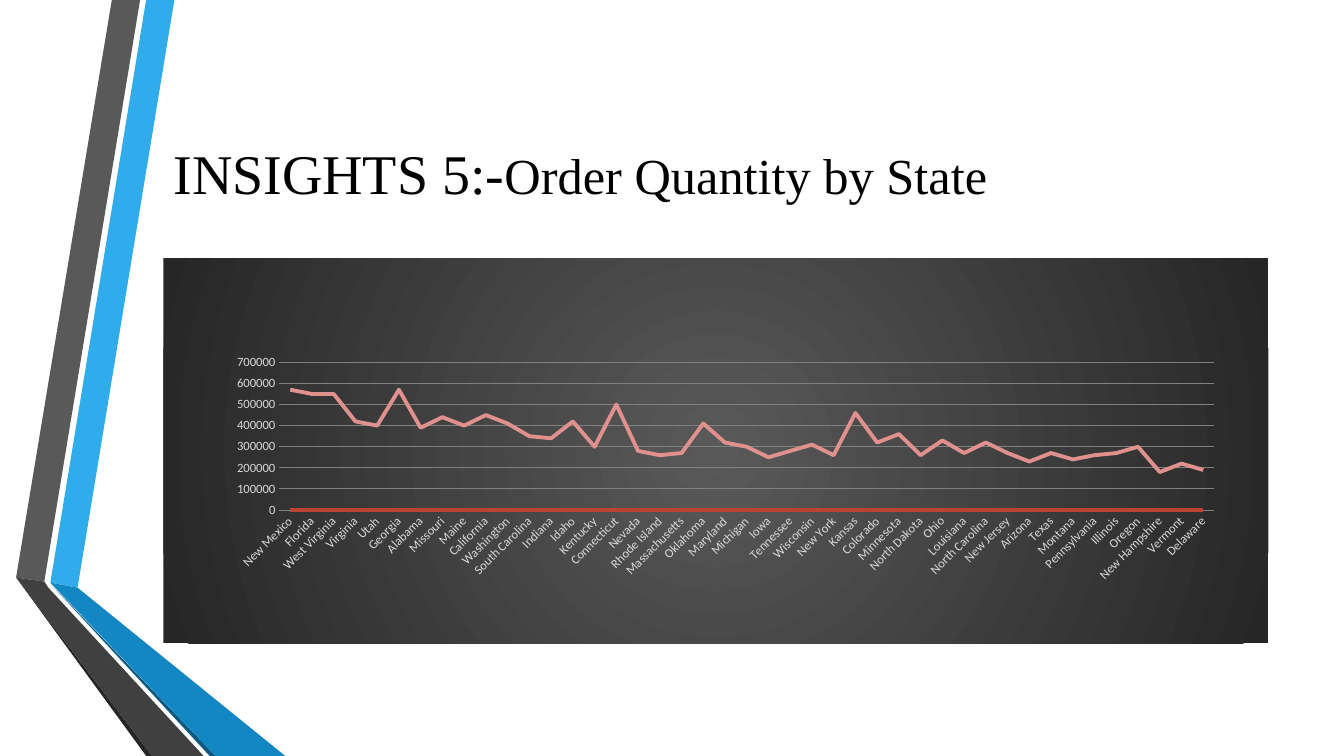
from lxml import etree
from pptx import Presentation
from pptx.chart.data import CategoryChartData
from pptx.dml.color import RGBColor
from pptx.enum import chart as ch, text
from pptx.oxml import parse_xml
from pptx.oxml.ns import nsdecls, qn
from pptx.util import Inches, Pt

RIBBONS = [
    ("30ACEC", [(0.5, 5.78), (0.77, 5.83), (1.73, 0), (1.45, 0)]),
    ("595959", [(1.39, 0), (1.11, 0), (0.16, 5.73), (0.44, 5.77)]),
    ("262626", [(0.16, 5.73), (1.45, 7.5), (1.51, 7.5)]),
    ("0C5A82", [(0.5, 5.79), (2.08, 7.5), (2.14, 7.5)]),
    ("1287C3", [(0.5, 5.78), (2.14, 7.5), (2.83, 7.5), (0.77, 5.83)]),
    ("404040", [(2.02, 7.5), (0.48, 5.83), (0.44, 5.77), (0.16, 5.73), (1.51, 7.5)]),
]
ORDERS = {
    "New Mexico": 570000, "Florida": 550000, "West Virginia": 550000,
    "Virginia": 420000, "Utah": 400000, "Georgia": 570000, "Alabama": 390000,
    "Missouri": 440000, "Maine": 400000, "California": 450000,
    "Washington": 410000, "South Carolina": 350000, "Indiana": 340000,
    "Idaho": 420000, "Kentucky": 300000, "Connecticut": 500000,
    "Nevada": 280000, "Rhode Island": 260000, "Massachusetts": 270000,
    "Oklahoma": 410000, "Maryland": 320000, "Michigan": 300000,
    "Iowa": 250000, "Tennessee": 280000, "Wisconsin": 310000,
    "New York": 260000, "Kansas": 460000, "Colorado": 320000,
    "Minnesota": 360000, "North Dakota": 260000, "Ohio": 330000,
    "Louisiana": 270000, "North Carolina": 320000, "New Jersey": 270000,
    "Arizona": 230000, "Texas": 270000, "Montana": 240000,
    "Pennsylvania": 260000, "Illinois": 270000, "Oregon": 300000,
    "New Hampshire": 180000, "Vermont": 220000, "Delaware": 190000,
}


def rgb(color):
    """Turn a hex string into a colour."""
    return RGBColor.from_string(color)


def place(sp, left, top, width, height):
    """Move and size a shape, in inches."""
    sp.left, sp.top = Inches(left), Inches(top)
    sp.width, sp.height = Inches(width), Inches(height)


def add_ribbon(s, color, points):
    """Draw one filled polygon of the side ribbon."""
    pts = [(Inches(x), Inches(y)) for x, y in points]
    fb = s.shapes.build_freeform(*pts[0])
    fb.add_line_segments(pts[1:], close=True)
    sp = fb.convert_to_shape()
    sp.shadow.inherit = False
    sp.fill.solid()
    sp.fill.fore_color.rgb = rgb(color)
    sp.line.fill.background()


def set_title(s, parts):
    """Fill the title placeholder with runs of (text, size)."""
    sp = s.shapes.title
    place(sp, 1.62, 0.75, 10.96, 1.92)
    tf = sp.text_frame
    tf.word_wrap = True
    tf.vertical_anchor = text.MSO_ANCHOR.MIDDLE
    p = tf.paragraphs[0]
    p.alignment = text.PP_ALIGN.LEFT
    p.font.name = "Times New Roman"
    p.font.color.rgb = rgb("000000")
    for words, size in parts:
        r = p.add_run()
        r.text = words
        r.font.size = Pt(size)


def set_font(font, size, color):
    """Give chart text its font."""
    font.name, font.size = "Calibri", Pt(size)
    font.color.rgb = rgb(color)


def style_axis(axis):
    """Hide an axis line and its ticks and format its labels."""
    axis.major_tick_mark = axis.minor_tick_mark = ch.XL_TICK_MARK.NONE
    axis.format.line.fill.background()
    set_font(axis.tick_labels.font, 9, "D9D9D9")


def set_radial_fill(chart, inner, outer):
    """Fill the chart area with a gradient from its centre."""
    stops = "".join(f'<a:gs pos="{pos}"><a:srgbClr val="{color}"/></a:gs>'
                    for pos, color in ((0, inner), (100000, outer)))
    fill = parse_xml(
        f'<c:spPr {nsdecls("c", "a")}><a:gradFill><a:gsLst>{stops}</a:gsLst>'
        '<a:path path="circle"><a:fillToRect l="50000" t="50000" r="50000" b="50000"/>'
        '</a:path></a:gradFill><a:ln><a:noFill/></a:ln></c:spPr>')
    chart.element.find(qn("c:chart")).addnext(fill)


def set_plot_area(chart, **box):
    """Fix the inner plot area as fractions of the chart."""
    area = chart.element.find(".//" + qn("c:plotArea"))
    for old in area.findall(qn("c:layout")):
        area.remove(old)
    layout = etree.Element(qn("c:layout"))
    manual = etree.SubElement(layout, qn("c:manualLayout"))
    settings = {"layoutTarget": "inner", "xMode": "edge", "yMode": "edge", **box}
    for tag, val in settings.items():
        etree.SubElement(manual, qn("c:" + tag)).set("val", str(val))
    area.insert(0, layout)


def add_order_chart(s):
    """Add the line chart of orders by state."""
    data = CategoryChartData()
    data.categories = list(ORDERS)
    data.add_series("Series 1", [0] * len(ORDERS))
    data.add_series("Series 2", list(ORDERS.values()))
    chart = s.shapes.add_chart(ch.XL_CHART_TYPE.LINE, Inches(1.62), Inches(2.56),
                               Inches(10.96), Inches(3.82), data).chart
    chart.has_title = chart.has_legend = False
    set_font(chart.font, 10, "000000")
    chart.plots[0].vary_by_categories = False
    for series, color in zip(chart.plots[0].series, ("BE4234", "E0918D")):
        series.smooth = False
        series.marker.style = ch.XL_MARKER_STYLE.NONE
        series.format.line.color.rgb = rgb(color)
        series.format.line.width = Pt(2.75)
    states, amounts = chart.category_axis, chart.value_axis
    style_axis(states)
    style_axis(amounts)
    states._element.find(qn("c:txPr")).find(qn("a:bodyPr")).set("rot", "-2700000")
    amounts.minimum_scale, amounts.maximum_scale = 0, 700000
    amounts.major_unit = 100000
    amounts.tick_labels.number_format = "0"
    amounts.tick_labels.number_format_is_linked = False
    grid = amounts.major_gridlines.format.line
    grid.color.rgb, grid.width = rgb("808080"), Pt(0.75)
    set_radial_fill(chart, "595959", "262626")
    set_plot_area(chart, x=0.105, y=0.271, w=0.846, h=0.384)


def main():
    """Build the slide and save it."""
    prs = Presentation()
    prs.slide_width, prs.slide_height = Inches(13.33), Inches(7.5)
    s = prs.slides.add_slide(prs.slide_layouts[5])
    for color, points in RIBBONS:
        add_ribbon(s, color, points)
    set_title(s, [("INSIGHTS 5:-", 40), ("Order Quantity by State", 36)])
    add_order_chart(s)
    prs.save("out.pptx")


if __name__ == "__main__":
    main()
